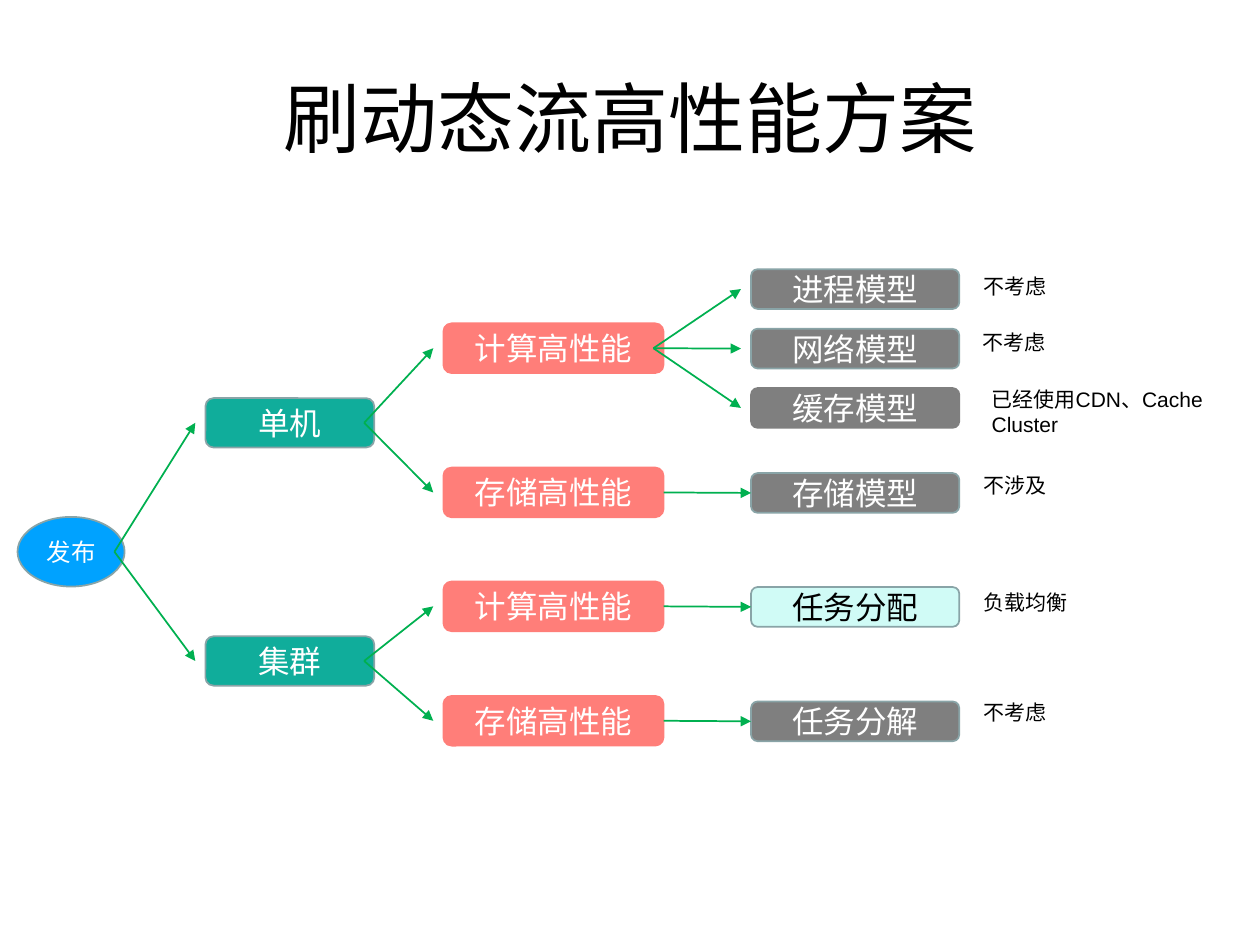
from dataclasses import dataclass

from lxml.etree import SubElement
from pptx import Presentation
from pptx.dml.color import RGBColor
from pptx.enum.shapes import MSO_CONNECTOR, MSO_SHAPE as SHAPE
from pptx.enum.text import MSO_ANCHOR as ANCHOR, MSO_AUTO_SIZE as AUTO, PP_ALIGN as ALIGN
from pptx.oxml.ns import qn
from pptx.util import Pt


@dataclass(frozen=True)
class Theme:
    font: str = "Arial"
    title_size: int = 44
    node_size: int = 18
    root_size: int = 14
    note_size: int = 12
    black: str = "000000"
    white: str = "FFFFFF"
    blue: str = "00A2FF"
    teal: str = "10AD9B"
    coral: str = "FF7E79"
    gray: str = "7F7F7F"
    mint: str = "D0FBF6"
    border: str = "89A4A7"
    arrow: str = "00B050"


theme = Theme()


def rgb(value):
    return RGBColor.from_string(value)


def set_text(sp, text, size, color, align, anchor):
    tf = sp.text_frame
    tf.word_wrap = True
    tf.auto_size = AUTO.NONE
    tf.vertical_anchor = anchor
    p = tf.paragraphs[0]
    p.text = text
    p.alignment = align
    p.font.name = theme.font
    p.font.size = Pt(size)
    p.font.color.rgb = rgb(color)


prs = Presentation()
prs.slide_width, prs.slide_height = Pt(720), Pt(540)
s = prs.slides.add_slide(prs.slide_layouts[5])

title = s.shapes.title
title.left, title.top, title.width, title.height = Pt(36), Pt(21.6), Pt(648), Pt(90)
set_text(title, "刷动态流高性能方案", theme.title_size, theme.black, ALIGN.CENTER, ANCHOR.MIDDLE)

tree = s.shapes.add_group_shape().shapes

# Each level: left, width, height, shape, text size
levels = [
    (10, 61.2, 39.8, SHAPE.OVAL, theme.root_size),
    (117.4, 96.5, 28.2, SHAPE.ROUNDED_RECTANGLE, theme.node_size),
    (253.4, 125.8, 28.4, SHAPE.ROUNDED_RECTANGLE, theme.node_size),
    (429.2, 119, 22.7, SHAPE.ROUNDED_RECTANGLE, theme.node_size),
]

# Each node: level, text, vertical centre, index of parent, fill, line
nodes = [
    (0, "发布", 315.3, None, theme.blue, theme.border),
    (1, "单机", 241.6, 0, theme.teal, theme.border),
    (1, "集群", 377.7, 0, theme.teal, theme.border),
    (2, "计算高性能", 199, 1, theme.coral, theme.coral),
    (2, "存储高性能", 281.4, 1, theme.coral, theme.coral),
    (2, "计算高性能", 346.5, 2, theme.coral, theme.coral),
    (2, "存储高性能", 411.9, 2, theme.coral, theme.coral),
    (3, "进程模型", 165.2, 3, theme.gray, theme.border),
    (3, "网络模型", 199.2, 3, theme.gray, theme.border),
    (3, "缓存模型", 233.1, 3, theme.gray, theme.gray),
    (3, "存储模型", 281.7, 4, theme.gray, theme.border),
    (3, "任务分配", 346.8, 5, theme.mint, theme.border),
    (3, "任务分解", 412.2, 6, theme.gray, theme.border),
]

for level, text, cy, _, fill, line in nodes:
    left, width, height, kind, size = levels[level]
    sp = tree.add_shape(kind, Pt(left), Pt(cy - height / 2), Pt(width), Pt(height))
    sp.shadow.inherit = False
    sp.fill.solid()
    sp.fill.fore_color.rgb = rgb(fill)
    sp.line.color.rgb = rgb(line)
    sp.line.width = Pt(1)
    color = theme.black if fill == theme.mint else theme.white
    set_text(sp, text, size, color, ALIGN.CENTER, ANCHOR.MIDDLE)

# Arrows that fan out start inside the parent and stop short of the child
parents = [node[3] for node in nodes]
for level, _, cy, parent, _, _ in nodes[1:]:
    shift = 5.8 if parents.count(parent) > 1 else 0
    parent_left, parent_width = levels[level - 1][:2]
    c = tree.add_connector(
        MSO_CONNECTOR.STRAIGHT,
        Pt(parent_left + parent_width - shift), Pt(nodes[parent][2]),
        Pt(levels[level][0] - shift), Pt(cy),
    )
    c.line.color.rgb = rgb(theme.arrow)
    c.line.width = Pt(1)
    SubElement(c.line._get_or_add_ln(), qn("a:tailEnd"), type="triangle")
    SubElement(c._element.spPr, qn("a:effectLst"))

# Each note: text, left, top, width, height
notes = [
    ("不考虑", 555, 152.6, 78.5, 21.6),
    ("不考虑", 554.4, 185, 78.5, 21.6),
    ("已经使用CDN、Cache Cluster", 559.6, 217.4, 154.8, 36),
    ("不涉及", 555, 266.6, 154.8, 21.6),
    ("负载均衡", 555, 333.4, 154.8, 21.6),
    ("不考虑", 555, 396, 154.8, 21.6),
]
for text, *box in notes:
    sp = tree.add_textbox(*map(Pt, box))
    set_text(sp, text, theme.note_size, theme.black, ALIGN.LEFT, ANCHOR.TOP)

prs.save("out.pptx")
